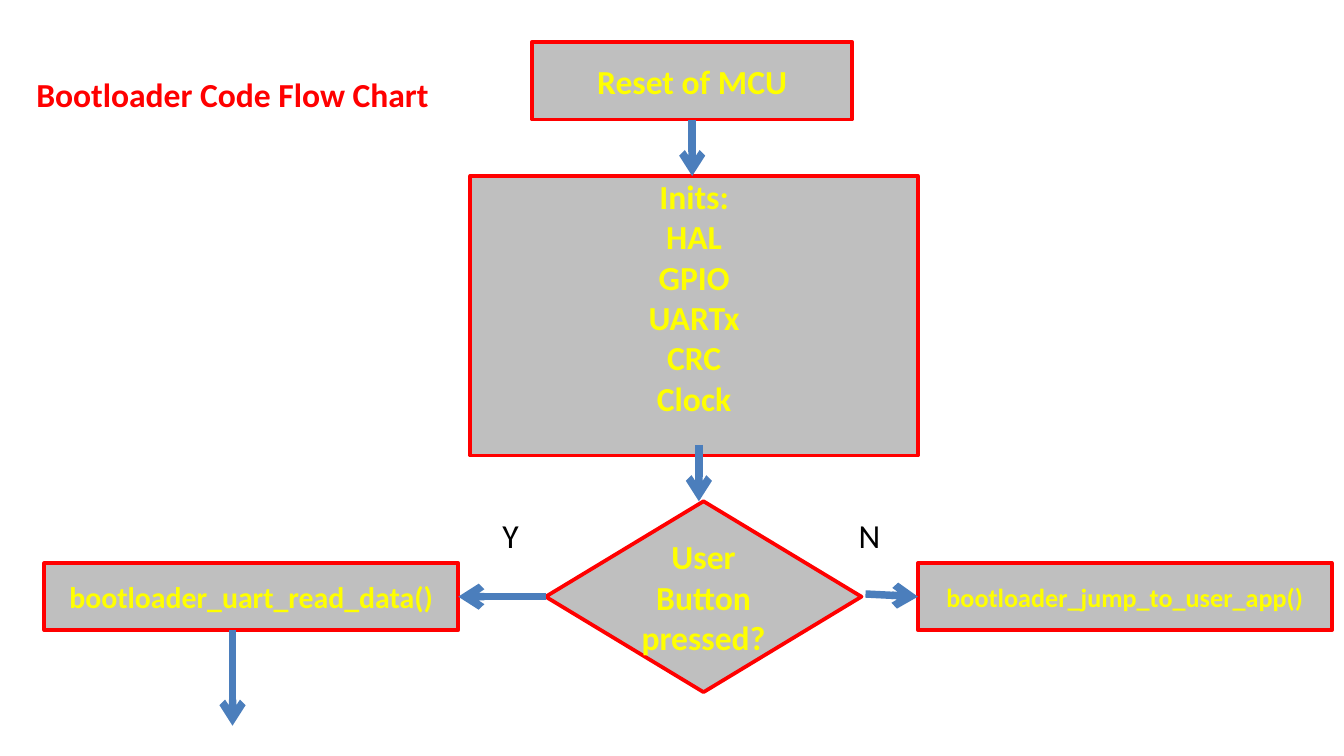
from lxml.etree import SubElement
from pptx import Presentation
from pptx.dml.color import RGBColor
from pptx.enum.shapes import MSO_CONNECTOR, MSO_SHAPE
from pptx.enum.text import MSO_ANCHOR, PP_ALIGN
from pptx.oxml.ns import qn
from pptx.util import Inches, Pt

RED = RGBColor(0xFF, 0x00, 0x00)
YELLOW = RGBColor(0xFF, 0xFF, 0x00)
GRAY = RGBColor(0xBF, 0xBF, 0xBF)
BLUE = RGBColor(0x4B, 0x7E, 0xBC)
BLACK = RGBColor(0x00, 0x00, 0x00)
FONT = "Calibri"
LEFT, BOTTOM, RIGHT = 1, 2, 3


def add_text(paragraph, text, size, color, bold, alignment):
    paragraph.alignment = alignment
    run = paragraph.add_run()
    run.text = text
    run.font.name = FONT
    run.font.size = Pt(size)
    run.font.bold = bold
    run.font.color.rgb = color


def add_step(slide, kind, left, top, width, height, lines, size=18):
    shape = slide.shapes.add_shape(
        kind, Inches(left), Inches(top), Inches(width), Inches(height))
    shape.shadow.inherit = False
    shape.fill.solid()
    shape.fill.fore_color.rgb = GRAY
    shape.line.color.rgb = RED
    shape.line.width = Pt(2)
    frame = shape.text_frame
    frame.word_wrap = True
    frame.vertical_anchor = MSO_ANCHOR.MIDDLE
    for index, line in enumerate(lines):
        paragraph = frame.add_paragraph() if index else frame.paragraphs[0]
        add_text(paragraph, line, size, YELLOW, True, PP_ALIGN.CENTER)
    return shape


def add_arrow(slide, start, end, source=None, target=None):
    connector = slide.shapes.add_connector(
        MSO_CONNECTOR.STRAIGHT, *(Inches(value) for value in start + end))
    if source:
        connector.begin_connect(*source)
    if target:
        connector.end_connect(*target)
    connector.line.color.rgb = BLUE
    connector.line.width = Pt(4)
    SubElement(connector.line._get_or_add_ln(), qn("a:tailEnd"), type="arrow")
    SubElement(connector._element.spPr, qn("a:effectLst"))


def add_branch_label(slide, left, top, width, height, text):
    box = slide.shapes.add_textbox(
        Inches(left), Inches(top), Inches(width), Inches(height))
    box.text_frame.word_wrap = False
    add_text(box.text_frame.paragraphs[0], text, 18, BLACK, False, PP_ALIGN.LEFT)


def place_title(slide, left, top, width, height, text):
    title = slide.shapes.title
    title.left, title.top = Inches(left), Inches(top)
    title.width, title.height = Inches(width), Inches(height)
    title.text_frame.word_wrap = False
    title.text_frame.vertical_anchor = MSO_ANCHOR.TOP
    add_text(title.text_frame.paragraphs[0], text, 18, RED, True, PP_ALIGN.LEFT)


def add_flow_chart(slide, left, top):
    center = left + 4.82
    action_top = top + 3.88
    action_middle = action_top + 0.25

    reset = add_step(slide, MSO_SHAPE.RECTANGLE, left + 3.63, top, 2.38, 0.58,
                     ["Reset of MCU"])
    inits = add_step(slide, MSO_SHAPE.RECTANGLE, left + 3.17, top + 1, 3.33, 2.08,
                     ["Inits:", "HAL", "GPIO", "UARTx", "CRC", "Clock"])
    inits.text_frame.vertical_anchor = MSO_ANCHOR.TOP
    inits.text_frame.margin_top = 0
    decision = add_step(slide, MSO_SHAPE.DIAMOND, left + 3.73, top + 3.42, 2.35, 1.42,
                        ["User Button pressed?"])
    read_data = add_step(slide, MSO_SHAPE.RECTANGLE, left, action_top, 3.08, 0.5,
                         ["bootloader_uart_read_data()"], 16)
    jump = add_step(slide, MSO_SHAPE.RECTANGLE, left + 6.5, action_top, 3.08, 0.5,
                    ["bootloader_jump_to_user_app()"], 14)

    add_arrow(slide, (left + 3.73, action_middle), (left + 3.08, action_middle),
              (decision, LEFT), (read_data, RIGHT))
    add_arrow(slide, (left + 6.11, action_middle - 0.02), (left + 6.5, action_middle),
              target=(jump, LEFT))
    add_arrow(slide, (center, top + 0.58), (center, top + 1), (reset, BOTTOM))
    add_arrow(slide, (left + 4.87, top + 3), (left + 4.87, top + 3.42))
    add_arrow(slide, (left + 1.4, action_top + 0.5), (left + 1.4, action_top + 1.21))

    add_branch_label(slide, left + 3.31, top + 3.47, 0.32, 0.4, "Y")
    add_branch_label(slide, left + 5.96, top + 3.47, 0.36, 0.4, "N")


def main():
    presentation = Presentation()
    presentation.slide_width = Inches(10)
    presentation.slide_height = presentation.slide_width * 9 // 16
    slide = presentation.slides.add_slide(presentation.slide_layouts[5])
    place_title(slide, 0.17, 0.5, 3.14, 0.4, "Bootloader Code Flow Chart")
    add_flow_chart(slide, 0.33, 0.31)
    presentation.save("out.pptx")


if __name__ == "__main__":
    main()
